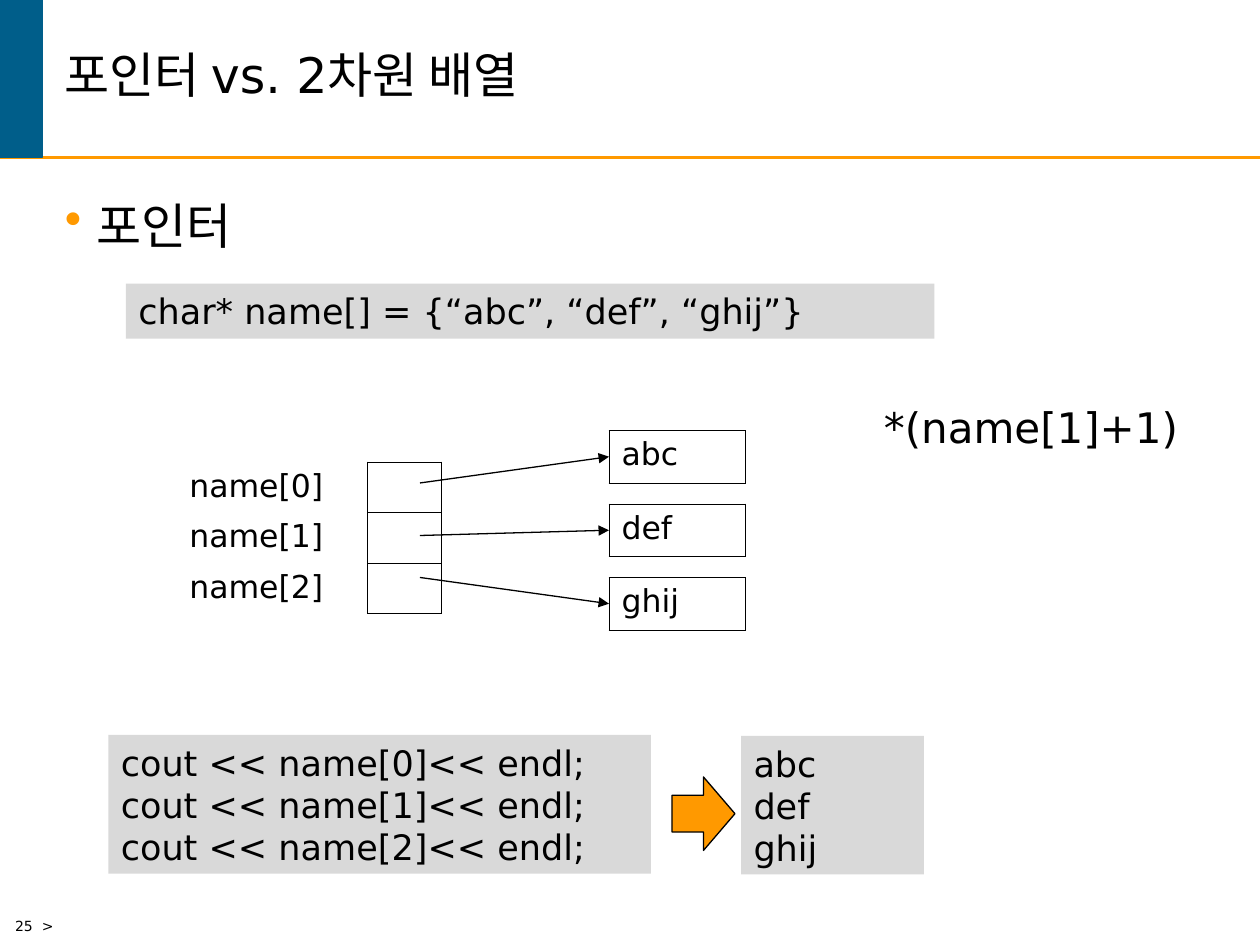
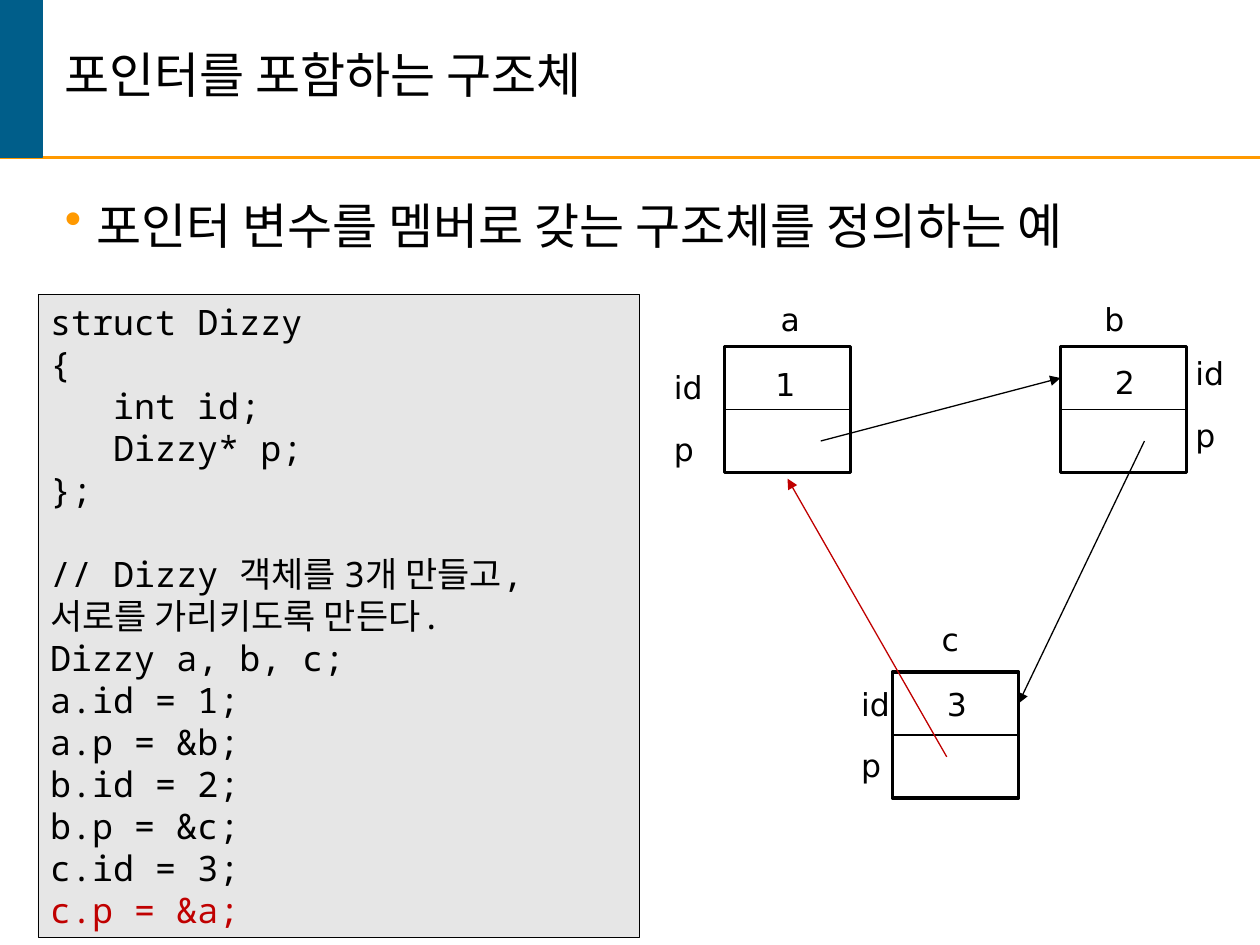
from dataclasses import dataclass
from typing import Optional

from lxml.etree import Element, SubElement
from pptx import Presentation
from pptx.dml.color import RGBColor
from pptx.enum.shapes import MSO_CONNECTOR as Connector, MSO_SHAPE as Preset
from pptx.enum.text import MSO_ANCHOR as Anchor
from pptx.oxml.ns import qn
from pptx.shapes.autoshape import Shape
from pptx.slide import Slide
from pptx.text.text import TextFrame
from pptx.util import Pt

BLACK = RGBColor(0x00, 0x00, 0x00)
WHITE = RGBColor(0xFF, 0xFF, 0xFF)
ORANGE = RGBColor(0xFF, 0x99, 0x00)
BLUE = RGBColor(0x00, 0x5E, 0x8A)
CODE_GREY = RGBColor(0xD9, 0xD9, 0xD9)
STRUCT_GREY = RGBColor(0xE6, 0xE6, 0xE6)
RED = RGBColor(0xC0, 0x00, 0x00)
SANS = "DejaVu Sans"
MONO = "Noto Sans Mono"

SLIDE_WIDTH, SLIDE_HEIGHT = 720, 540
BAND_HEIGHT = 90
NODE_SIDE = 72
FIELD_STEP = 35


@dataclass(frozen=True)
class Box:
    left: float
    top: float
    width: float
    height: float

    def lengths(self) -> tuple[Pt, Pt, Pt, Pt]:
        return Pt(self.left), Pt(self.top), Pt(self.width), Pt(self.height)


@dataclass(frozen=True)
class Panel:
    box: Box
    lines: list[str]
    fill: RGBColor = CODE_GREY
    border: Optional[float] = None
    font: str = SANS


@dataclass(frozen=True)
class Link:
    start: tuple[float, float]
    end: tuple[float, float]
    color: RGBColor = BLACK
    weight: float = 0.75
    arrow: bool = True


@dataclass(frozen=True)
class Grid:
    left: float
    top: float
    width: float
    row_height: float
    rows: list[str]
    bordered: bool = True


@dataclass(frozen=True)
class Node:
    name: str
    value: str
    corner: tuple[float, float]
    name_at: tuple[float, float]
    value_at: tuple[float, float]
    fields_at: tuple[float, float]


def write(frame: TextFrame, lines: list[str], size: float, font: str = SANS) -> None:
    frame.word_wrap = True
    frame.text = "\n".join(lines)
    for paragraph in frame.paragraphs:
        paragraph.font.size = Pt(size)
        paragraph.font.name = font
        paragraph.font.color.rgb = BLACK


def add_text(slide: Slide, box: Box, text: str, size: float) -> TextFrame:
    frame = slide.shapes.add_textbox(*box.lengths()).text_frame
    write(frame, [text], size)
    return frame


def add_label(slide: Slide, text: str, at: tuple[float, float]) -> None:
    add_text(slide, Box(*at, 36, 29), text, 18)


def add_preset(slide: Slide, box: Box, fill: RGBColor, border: Optional[float] = None,
               border_color: RGBColor = BLACK, preset: Preset = Preset.RECTANGLE) -> Shape:
    shape = slide.shapes.add_shape(preset, *box.lengths())
    shape.shadow.inherit = False
    shape.fill.solid()
    shape.fill.fore_color.rgb = fill
    if border is None:
        shape.line.fill.background()
    else:
        shape.line.color.rgb = border_color
        shape.line.width = Pt(border)
    return shape


def add_panel(slide: Slide, panel: Panel) -> TextFrame:
    frame = add_preset(slide, panel.box, panel.fill, panel.border).text_frame
    write(frame, panel.lines, 20, panel.font)
    frame.vertical_anchor = Anchor.TOP
    for paragraph in frame.paragraphs:
        paragraph.alignment = 1
    return frame


def add_link(slide: Slide, link: Link) -> None:
    connector = slide.shapes.add_connector(
        Connector.STRAIGHT, *(Pt(value) for value in link.start + link.end))
    connector.line.color.rgb = link.color
    connector.line.width = Pt(link.weight)
    if link.arrow:
        SubElement(connector.line._get_or_add_ln(), qn("a:tailEnd"), type="triangle")
    SubElement(connector._element.spPr, qn("a:effectLst"))


def add_grid(slide: Slide, grid: Grid) -> None:
    box = Box(grid.left, grid.top, grid.width, grid.row_height * len(grid.rows))
    table = slide.shapes.add_table(len(grid.rows), 1, *box.lengths()).table
    table.first_row = table.horz_banding = False
    for cell, text in zip(table.iter_cells(), grid.rows):
        write(cell.text_frame, [text], 18)
        cell.fill.background()
        if grid.bordered:
            properties = cell._tc.get_or_add_tcPr()
            for position, side in enumerate(("lnL", "lnR", "lnT", "lnB")):
                edge = Element(qn(f"a:{side}"), w=str(Pt(0.45)))
                color = SubElement(SubElement(edge, qn("a:solidFill")), qn("a:srgbClr"))
                color.set("val", str(BLACK))
                properties.insert(position, edge)


def add_topic(slide: Slide, text: str) -> None:
    paragraph = add_text(slide, Box(30, 108, 672, 60), text, 28).paragraphs[0]
    paragraph.space_before = Pt(7)
    properties = paragraph._p.get_or_add_pPr()
    properties.set("marL", str(Pt(18)))
    properties.set("indent", str(Pt(-18)))
    bullet_color = Element(qn("a:buClr"))
    SubElement(bullet_color, qn("a:srgbClr"), val=str(ORANGE))
    defaults = properties.find(qn("a:defRPr"))
    defaults.addprevious(bullet_color)
    defaults.addprevious(Element(qn("a:buChar"), char="•"))


def start_slide(deck: Presentation, title: str, topic: str) -> Slide:
    slide = deck.slides.add_slide(deck.slide_layouts[6])
    add_link(slide, Link((0, BAND_HEIGHT), (SLIDE_WIDTH, BAND_HEIGHT), ORANGE, 1.5, False))
    add_preset(slide, Box(0, 0, 24, BAND_HEIGHT), BLUE, 1, BLUE)
    heading = add_text(slide, Box(30, 0, 672, BAND_HEIGHT), title, 28)
    heading.vertical_anchor = Anchor.MIDDLE
    heading.paragraphs[0].line_spacing = 0.85
    add_topic(slide, topic)
    return slide


def build_pointer_array(deck: Presentation) -> None:
    slide = start_slide(deck, "포인터 vs. 2차원 배열", "포인터")
    add_text(slide, Box(1.5, 521, 101, 19), "25  >", 8)
    words = ["abc", "def", "ghij"]
    names = [f"name[{index}]" for index in range(len(words))]

    add_panel(slide, Panel(Box(72, 162, 462, 31.5),
                           ["char* name[] = {“abc”, “def”, “ghij”}"]))
    add_grid(slide, Grid(101, 264, 96, 28.8, names, bordered=False))
    add_grid(slide, Grid(210, 264, 42, 28.8, [""] * len(names)))
    for index, (word, start) in enumerate(zip(words, (276, 306, 330))):
        top = 246 + 42 * index
        add_grid(slide, Grid(348, top, 78, 30, [word]))
        add_link(slide, Link((240, start), (348, top + 15)))

    add_panel(slide, Panel(Box(62, 420, 310, 79.2),
                           [f"cout << {name}<< endl;" for name in names]))
    add_preset(slide, Box(384, 444, 36, 42), ORANGE, 0.75, preset=Preset.RIGHT_ARROW)
    add_panel(slide, Panel(Box(423.5, 420.5, 104.5, 79.2), words))
    add_text(slide, Box(498, 226, 196, 35), "*(name[1]+1)", 24)


def build_linked_structs(deck: Presentation) -> None:
    slide = start_slide(deck, "포인터를 포함하는 구조체",
                        "포인터 변수를 멤버로 갖는 구조체를 정의하는 예")
    declaration = ["struct Dizzy", "{", "\tint id;", "\tDizzy* p;", "};"]
    usage = ["// Dizzy 객체를 3개 만들고,", "서로를 가리키도록 만든다.", "Dizzy a, b, c;",
             "a.id = 1;", "a.p = &b;", "b.id = 2;", "b.p = &c;", "c.id = 3;", "c.p = &a;"]
    code = add_panel(slide, Panel(Box(21.6, 168, 344, 367.4), declaration + usage,
                                  STRUCT_GREY, 0.25, MONO))
    code.paragraphs[len(declaration)].space_before = Pt(24)
    code.paragraphs[-1].font.color.rgb = RED

    nodes = [
        Node("a", "1", (414, 198), (439, 168), (436, 205), (378, 207)),
        Node("b", "2", (606, 198), (624, 168), (630, 204), (676, 199)),
        Node("c", "3", (510, 384), (531, 351), (534, 388), (485, 388)),
    ]
    for node in nodes:
        left, top = node.corner
        middle = top + NODE_SIDE / 2
        add_preset(slide, Box(left, top, NODE_SIDE, NODE_SIDE), WHITE, 2)
        add_link(slide, Link((left, middle), (left + NODE_SIDE, middle), arrow=False))
        add_label(slide, node.name, node.name_at)
        add_label(slide, node.value, node.value_at)
        for row, field in enumerate(("id", "p")):
            field_left, field_top = node.fields_at
            add_label(slide, field, (field_left, field_top + FIELD_STEP * row))

    for link in (Link((469, 252), (606, 216)),
                 Link((654, 252), (582, 402)),
                 Link((541, 432.5), (450, 273.5), RED)):
        add_link(slide, link)


def main() -> None:
    deck = Presentation()
    deck.slide_width, deck.slide_height = Pt(SLIDE_WIDTH), Pt(SLIDE_HEIGHT)
    build_pointer_array(deck)
    build_linked_structs(deck)
    deck.save("out.pptx")


if __name__ == "__main__":
    main()
